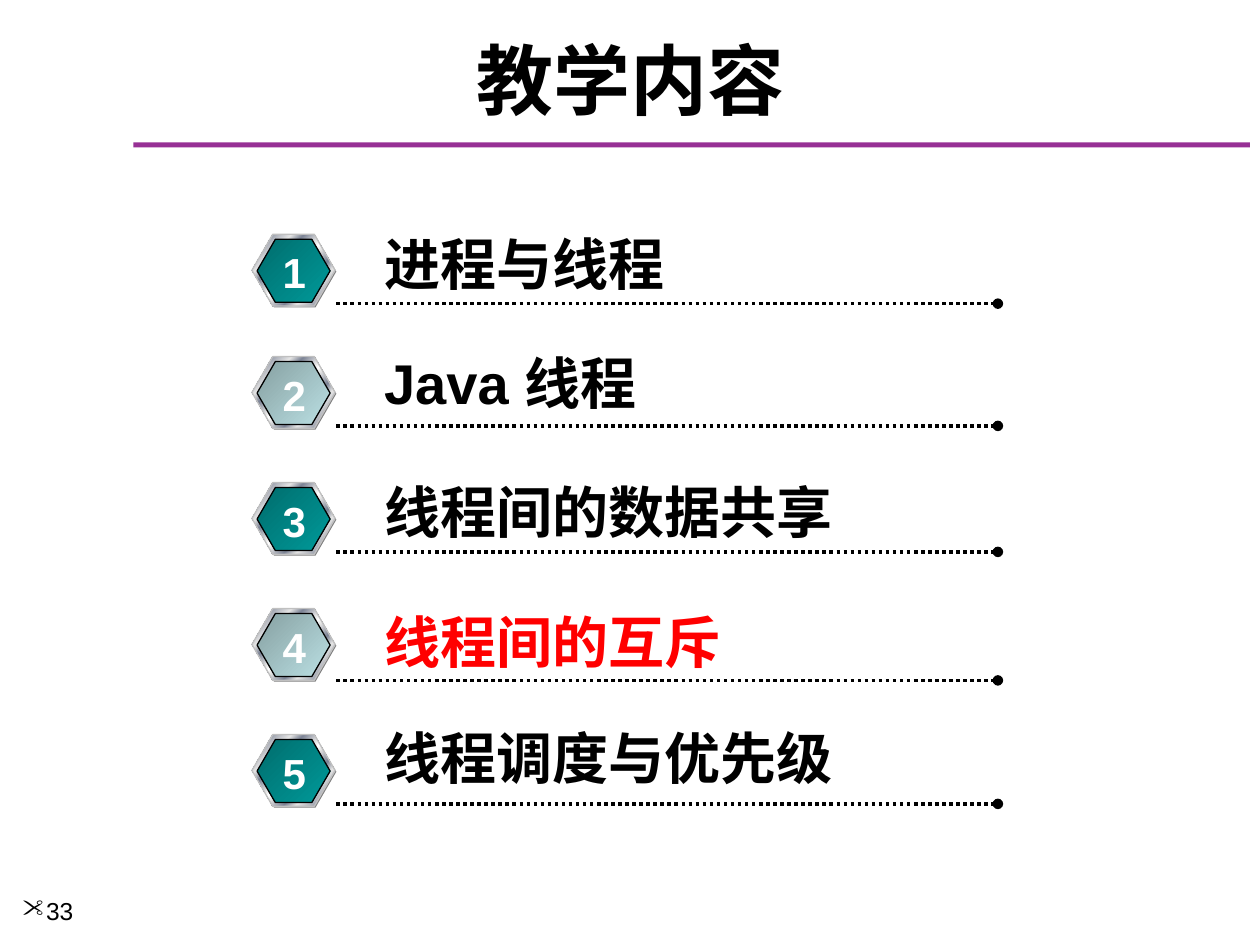
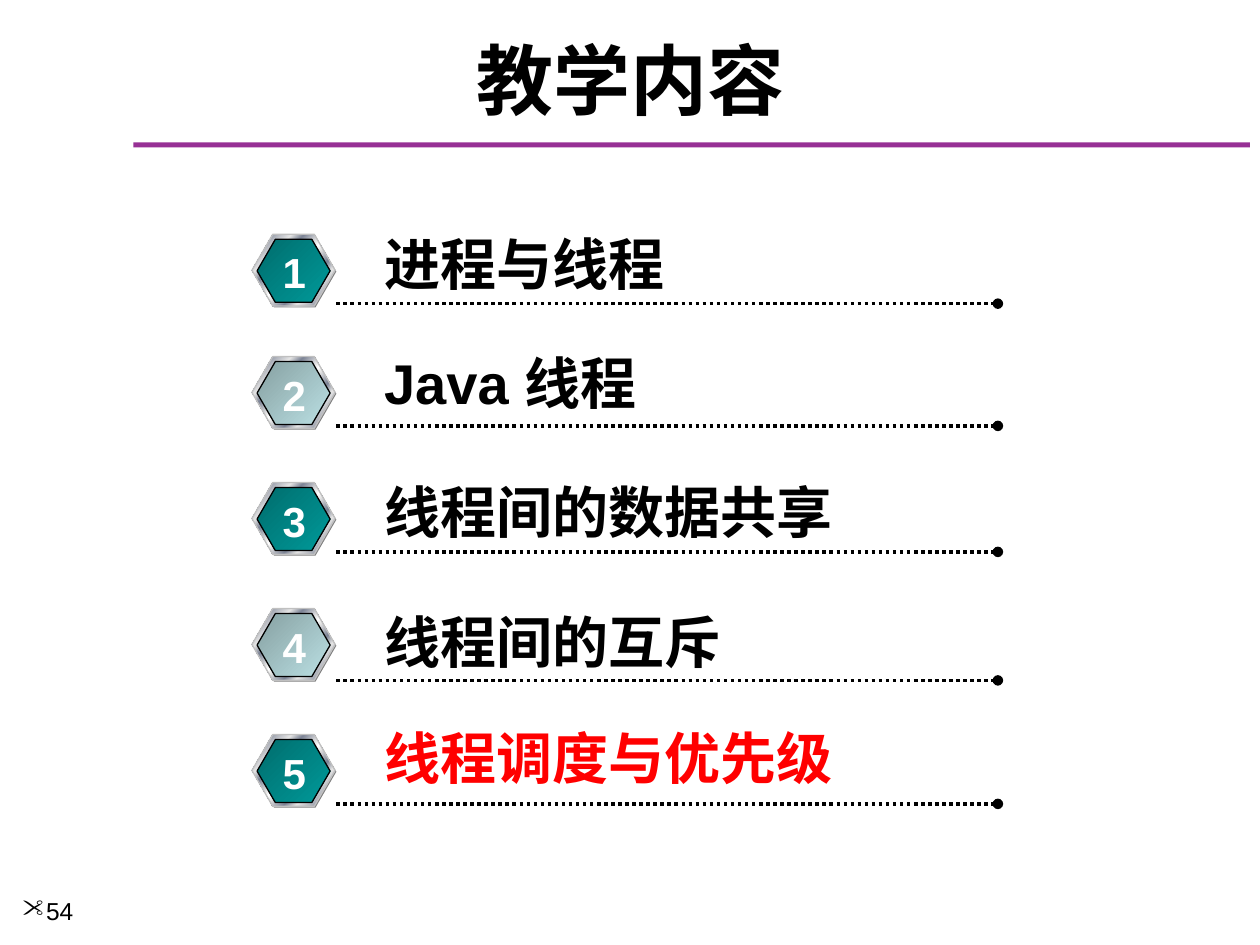
from dataclasses import dataclass

from lxml.etree import SubElement
from pptx import Presentation
from pptx.dml.color import RGBColor
from pptx.enum.dml import MSO_LINE
from pptx.enum.shapes import MSO_CONNECTOR, MSO_SHAPE
from pptx.enum.text import MSO_ANCHOR, MSO_AUTO_SIZE, PP_ALIGN
from pptx.oxml.ns import qn
from pptx.util import Pt

PX = 9144  # 100 px to the inch


@dataclass(frozen=True)
class Theme:
    latin: str = "Arial"
    cjk: str = "Noto Sans CJK SC"
    text: str = "000000"
    current: str = "FF0000"
    number: str = "FFFFFF"
    band: str = "973095"
    shade: str = "808080"
    rim_line: str = "C0C0C0"
    rim: tuple = ((0, "E6E6E6"), (8, "7D8496"), (26, "E6E6E6"), (34, "7D8496"),
                  (46, "E6E6E6"), (50, "FFFFFF"), (54, "E6E6E6"), (66, "7D8496"),
                  (74, "E6E6E6"), (92, "7D8496"), (100, "E6E6E6"))
    # odd rows are teal, even rows pale
    faces: tuple = (((0, "006D6D"), (100, "009999")),
                    ((0, "86A0A2"), (100, "BBE0E3")))
    title_size: int = 44
    topic_size: int = 32
    number_size: int = 24
    page_size: int = 14


T = Theme()

# topic, then the tops of its badge, its label and its dotted rule
TOPICS = [
    ("进程与线程", 186, 177, 241),
    ("Java 线程", 283, 272, 338),
    ("线程间的数据共享", 383, 374, 438),
    ("线程间的互斥", 483, 477, 540),
    ("线程调度与优先级", 583, 569, 638),
]


def emu(*lengths):
    return [n * PX for n in lengths]


def rgb(color):
    return RGBColor.from_string(color)


def add_text(shapes, box, text, size, color=T.text, font=T.latin, bold=True,
             align=None, wrap=False):
    tb = shapes.add_textbox(*emu(*box))
    tf = tb.text_frame
    tf.text = text
    tf.word_wrap = wrap
    tf.auto_size = MSO_AUTO_SIZE.NONE if wrap else MSO_AUTO_SIZE.SHAPE_TO_FIT_TEXT
    p = tf.paragraphs[0]
    p.alignment = align
    for r in p.runs:
        r.font.name = font
        r.font.size = Pt(size)
        r.font.bold = bold
        r.font.color.rgb = rgb(color)
        SubElement(r.font._element, qn("a:ea"), typeface=T.cjk)
    return tf


def set_gradient(shape, stops):
    """Fill a shape with (percent, colour) stops running to the lower right."""
    shape.fill.gradient()
    shape.fill.gradient_angle = 315
    gs_list = shape._element.spPr.find(qn("a:gradFill")).find(qn("a:gsLst"))
    gs_list.clear()
    for percent, color in stops:
        gs = SubElement(gs_list, qn("a:gs"), pos=str(percent * 1000))
        SubElement(gs, qn("a:srgbClr"), val=color)


def add_hexagon(shapes, box, fill, line=None):
    """Draw a hexagon; fill is one colour or gradient stops."""
    sp = shapes.add_shape(MSO_SHAPE.HEXAGON, *emu(*box))
    sp.shadow.inherit = False
    sp.adjustments[0] = 0.29
    if isinstance(fill, str):
        sp.fill.solid()
        sp.fill.fore_color.rgb = rgb(fill)
    else:
        set_gradient(sp, fill)
    if line:
        sp.line.color.rgb = rgb(line)
        sp.line.width = Pt(0.75)
    else:
        sp.line.fill.background()


def add_badge(s, x, y, number):
    shapes = s.shapes.add_group_shape().shapes
    add_hexagon(shapes, (x + 1, y + 1, 66, 57), T.shade)
    add_hexagon(shapes, (x, y, 66, 57), T.rim, T.rim_line)
    add_hexagon(shapes, (x + 4, y + 4, 58, 50), T.faces[(number - 1) % 2], T.text)
    add_text(shapes, (x + 14, y + 5, 39, 50), str(number), T.number_size,
             T.number, align=PP_ALIGN.CENTER)


def add_dotted_rule(s, x, y, width):
    cx = s.shapes.add_connector(MSO_CONNECTOR.STRAIGHT, *emu(x, y, x + width, y))
    cx.line.color.rgb = rgb(T.text)
    cx.line.width = Pt(2)
    cx.line.dash_style = MSO_LINE.ROUND_DOT
    sp_pr = cx._element.spPr
    SubElement(sp_pr.find(qn("a:ln")), qn("a:tailEnd"), type="oval")
    SubElement(sp_pr, qn("a:effectLst"))


def add_topics(s, x, current):
    for number, (topic, badge_y, label_y, rule_y) in enumerate(TOPICS, 1):
        add_dotted_rule(s, x + 67, rule_y, 525)
        add_text(s.shapes, (x + 95, label_y, 381, 64), topic, T.topic_size,
                 T.current if number == current else T.text, align=PP_ALIGN.LEFT)
        add_badge(s, x, badge_y, number)


def add_header(s, title):
    band = s.shapes.add_shape(MSO_SHAPE.RECTANGLE, *emu(106, 113, 886, 4))
    band.shadow.inherit = False
    band.fill.solid()
    band.fill.fore_color.rgb = rgb(T.band)
    band.line.fill.background()
    tf = add_text(s.shapes, (17, 25, 967, 75), title, T.title_size, font=T.cjk,
                  align=PP_ALIGN.CENTER, wrap=True)
    tf.vertical_anchor = MSO_ANCHOR.MIDDLE


def add_page_number(s, page):
    """Write the page number behind a scissors bullet."""
    tf = add_text(s.shapes, (8, 706, 108, 44), str(page), T.page_size,
                  bold=False, wrap=True)
    p_pr = tf.paragraphs[0]._p.get_or_add_pPr()
    SubElement(p_pr, qn("a:buFont"), typeface="Wingdings", charset="2")
    SubElement(p_pr, qn("a:buChar"), char='"')


def add_contents_slide(prs, page, current):
    s = prs.slides.add_slide(prs.slide_layouts[6])
    add_header(s, "教学内容")
    add_page_number(s, page)
    add_topics(s, 200, current)


def main():
    prs = Presentation()
    prs.slide_width, prs.slide_height = emu(1000, 750)
    for page, current in ((33, 4), (54, 5)):
        add_contents_slide(prs, page, current)
    prs.save("out.pptx")


if __name__ == "__main__":
    main()
